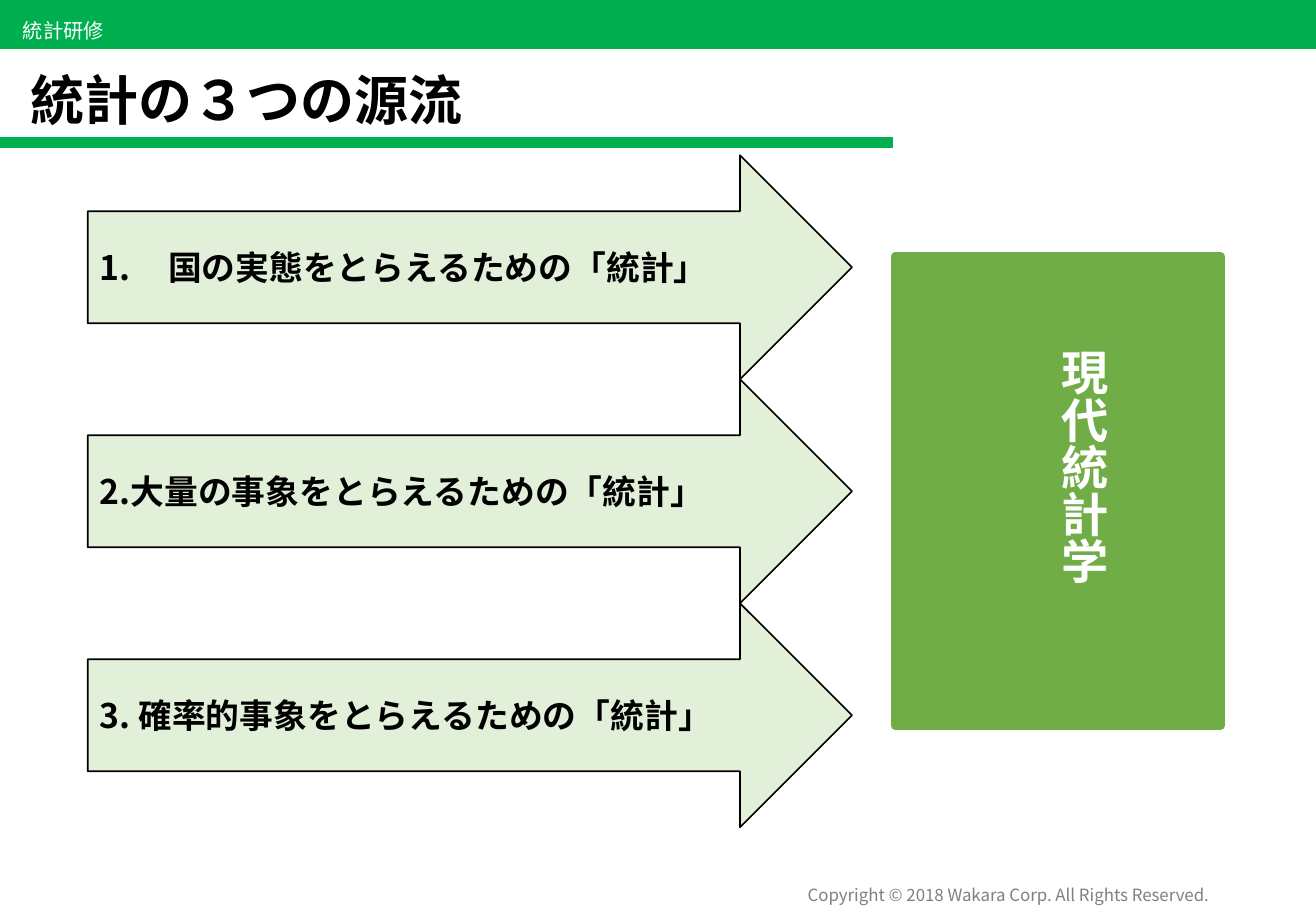
"""Build the slide on the three origins of statistics."""
from lxml import etree
from pptx import Presentation
from pptx.dml.color import RGBColor
from pptx.enum.shapes import MSO_SHAPE as Preset
from pptx.enum.text import MSO_ANCHOR as Anchor, MSO_AUTO_SIZE as AutoSize, PP_ALIGN as Align
from pptx.oxml.ns import qn
from pptx.util import Pt

FONT = "Noto Sans CJK JP"
BLACK = RGBColor(0x00, 0x00, 0x00)
WHITE = RGBColor(0xFF, 0xFF, 0xFF)
GREY = RGBColor(0x80, 0x80, 0x80)
BRAND_GREEN = RGBColor(0x00, 0xB0, 0x50)
PALE_GREEN = RGBColor(0xE2, 0xF0, 0xD9)
LEAF_GREEN = RGBColor(0x70, 0xAD, 0x47)

ORIGINS = [
    "国の実態をとらえるための「統計」",
    "2.大量の事象をとらえるための「統計」",
    "3. 確率的事象をとらえるための「統計」",
]
ARROW_TOP = 92
ARROW_HEIGHT = 132.8
HANGING_INDENT = 40.5


def style_text(paragraph, size, color, bold=False):
    """Format every run for Latin and East Asian glyphs."""
    for run in paragraph.runs:
        run.font.name = FONT
        run.font.size = Pt(size)
        run.font.bold = bold
        run.font.color.rgb = color
        east_asian = etree.SubElement(run.font._element, qn("a:ea"))
        east_asian.set("typeface", FONT)


def add_block(slide, preset, box, fill, outline, outline_width=1):
    """Add a filled preset shape with an outline."""
    block = slide.shapes.add_shape(preset, *map(Pt, box))
    block.shadow.inherit = False
    block.fill.solid()
    block.fill.fore_color.rgb = fill
    block.line.color.rgb = outline
    block.line.width = Pt(outline_width)
    return block


def add_label(slide, box, text, size, color, align=Align.LEFT, bold=False):
    """Add a one-line text box and return its frame."""
    frame = slide.shapes.add_textbox(*map(Pt, box)).text_frame
    frame.text = text
    frame.word_wrap = False
    frame.auto_size = AutoSize.SHAPE_TO_FIT_TEXT
    frame.vertical_anchor = Anchor.MIDDLE
    frame.paragraphs[0].alignment = align
    style_text(frame.paragraphs[0], size, color, bold)
    return frame


def add_origin(slide, index, text):
    """Add one arrow of the stack; the first has an automatic number."""
    box = (52, ARROW_TOP + index * ARROW_HEIGHT, 453, ARROW_HEIGHT)
    arrow = add_block(slide, Preset.RIGHT_ARROW, box, PALE_GREEN, BLACK)
    frame = arrow.text_frame
    frame.text = text
    frame.word_wrap = True
    frame.vertical_anchor = Anchor.MIDDLE
    origin = frame.paragraphs[0]
    origin.alignment = Align.LEFT
    properties = origin._p.get_or_add_pPr()
    properties.set("marL", str(Pt(HANGING_INDENT)))
    properties.set("indent", str(-Pt(HANGING_INDENT)))
    if index == 0:
        number_font = etree.SubElement(properties, qn("a:buFont"))
        number_font.set("typeface", "+mj-lt")
        numbering = etree.SubElement(properties, qn("a:buAutoNum"))
        numbering.set("type", "arabicPeriod")
    style_text(origin, 20, BLACK, bold=True)


def set_title(slide, text):
    """Place and format the title placeholder."""
    title = slide.shapes.title
    title.left, title.top, title.width, title.height = map(Pt, (11, 29, 746, 53))
    frame = title.text_frame
    frame.text = text
    frame.word_wrap = True
    frame.auto_size = AutoSize.NONE
    frame.vertical_anchor = Anchor.BOTTOM
    frame.paragraphs[0].alignment = Align.LEFT
    frame.paragraphs[0].line_spacing = 0.9
    style_text(frame.paragraphs[0], 32, BLACK, bold=True)


def add_goal(slide, text):
    """Add the block the arrows lead to, with its vertical label."""
    add_block(slide, Preset.RECTANGLE, (530.5, 152, 193, 278), LEAF_GREEN, LEAF_GREEN, 5)
    frame = add_label(slide, (592, 200, 70.5, 184.5), text, 28, WHITE, bold=True)
    frame.word_wrap = True
    frame.vertical_anchor = Anchor.TOP
    frame._txBody.bodyPr.set("vert", "eaVert")


def main():
    """Assemble and save the slide."""
    deck = Presentation()
    deck.slide_width, deck.slide_height = Pt(780), Pt(540)
    slide = deck.slides.add_slide(deck.slide_layouts[5])

    for band in ((0, 0, 780, 28.5), (0, 82, 529, 5)):
        add_block(slide, Preset.RECTANGLE, band, BRAND_GREEN, BRAND_GREEN)
    add_label(slide, (447, 520.5, 276.5, 19.5),
              "Copyright © 2018 Wakara Corp. All Rights Reserved.", 10, GREY, Align.RIGHT)
    add_label(slide, (6.5, 7, 63.5, 22), "統計研修", 12, WHITE)
    set_title(slide, "統計の３つの源流")
    for index, text in enumerate(ORIGINS):
        add_origin(slide, index, text)
    add_goal(slide, "現代統計学")
    deck.save("out.pptx")


if __name__ == "__main__":
    main()
